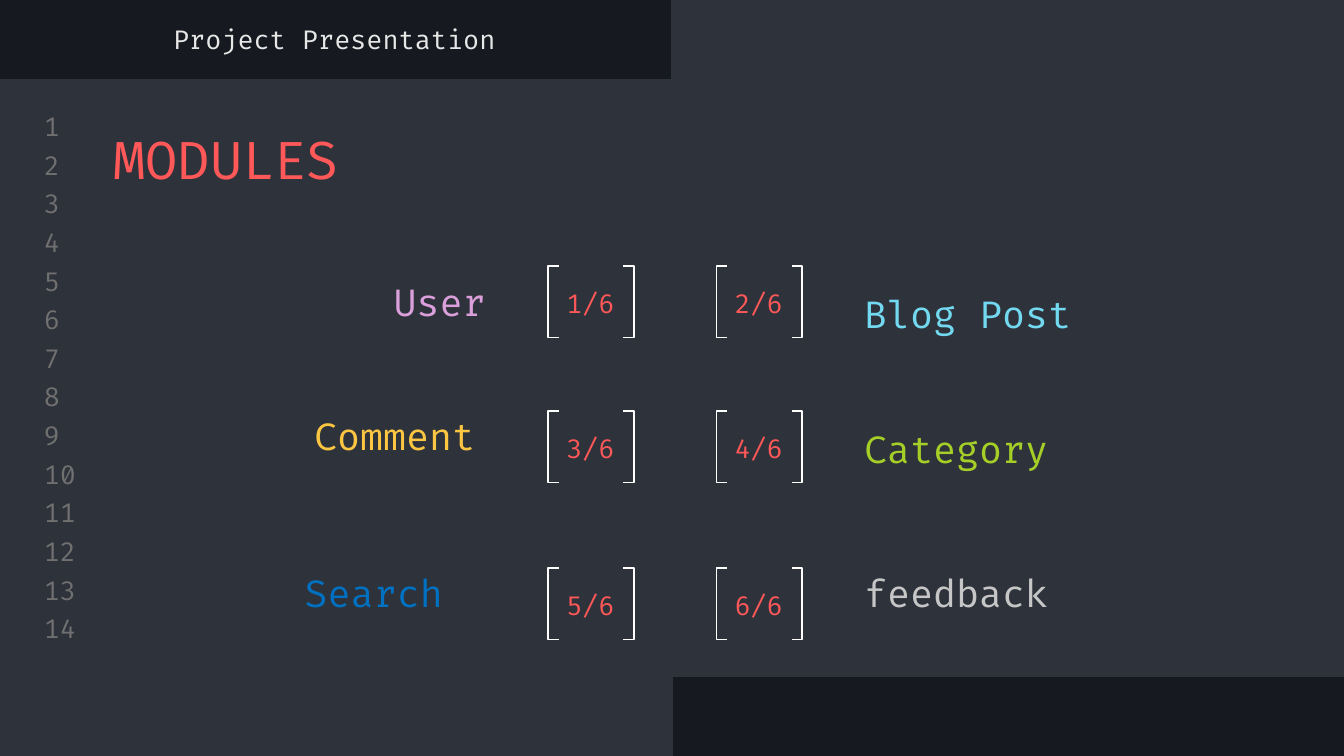
import pptx
import pptx.util
import pptx.dml.color
import pptx.enum.shapes
import pptx.enum.text
from dataclasses import dataclass

Cm = pptx.util.Cm
Kind = pptx.enum.shapes.MSO_SHAPE
Align = pptx.enum.text.PP_ALIGN
Anchor = pptx.enum.text.MSO_ANCHOR


@dataclass(frozen=True)
class Theme:
    font: str = "Fira Code"
    dark: str = "16191F"
    panel: str = "2E323B"
    gray: str = "707070"
    red: str = "FF5858"
    pale: str = "E7E7E7"
    white: str = "FFFFFF"
    small: int = 14
    label: int = 20
    title: int = 28


theme = Theme()

header = "Project Presentation"
title = "MODULES"
lines = 14
modules = [
    ("User", "DBA0DB", 3.38, 5.23, Align.RIGHT),
    ("Blog Post", "72D9F0", 16.08, 5.46, Align.LEFT),
    ("Comment", "FCC642", 3.18, 7.77, Align.RIGHT),
    ("Category", "A5CF27", 16.08, 8, Align.LEFT),
    ("Search", "0070C0", 5.51, 10.74, Align.LEFT),
    ("feedback", "C6C6C6", 16.08, 10.74, Align.LEFT),
]
panels = [
    (12.7, 0, 12.7, 1.65),
    (0, 12.64, 12.7, 1.65),
    (0, 1.5, 25.4, 11.28),
]
cols = [10.36, 13.54]
rows = [5.03, 7.77, 10.74]


def color(code):
    return pptx.dml.color.RGBColor.from_string(code)


def shape(kind, box, line, fill=None):
    item = slide.shapes.add_shape(kind, *map(Cm, box))
    item.shadow.inherit = False
    item.line.color.rgb = color(line)
    item.line.width = pptx.util.Pt(0.75)
    if fill:
        item.fill.solid()
        item.fill.fore_color.rgb = color(fill)
    else:
        item.fill.background()
    return item


def text(words, box, size, ink, align=Align.LEFT, anchor=Anchor.MIDDLE):
    frame = slide.shapes.add_textbox(*map(Cm, box)).text_frame
    frame.word_wrap = True
    frame.vertical_anchor = anchor
    frame.margin_left = frame.margin_right = Cm(0.25)
    frame.margin_top = frame.margin_bottom = Cm(0.25)
    para = frame.paragraphs[0]
    para.text = words
    para.alignment = align
    para.font.name = theme.font
    para.font.size = pptx.util.Pt(size)
    para.font.color.rgb = color(ink)


deck = pptx.Presentation()
deck.slide_width, deck.slide_height = Cm(25.4), Cm(14.29)
slide = deck.slides.add_slide(deck.slide_layouts[6])
slide.background.fill.solid()
slide.background.fill.fore_color.rgb = color(theme.dark)

for box in panels:
    shape(Kind.RECTANGLE, box, theme.panel, theme.panel)

for step in range(lines):
    box = (0.58, 2.08 + 0.73 * step, 1.19, 0.61)
    text(str(step + 1), box, theme.small, theme.gray)

text(header, (-0.03, 0.25, 12.7, 0.99), theme.small, theme.pale, Align.CENTER)
text(title, (1.9, 2.16, 21.44, 1.6), theme.title, theme.red, anchor=Anchor.TOP)

for index, (name, ink, left, top, align) in enumerate(modules):
    text(name, (left, top, 6.05, 0.94), theme.label, ink, align)
    row, col = divmod(index, len(cols))
    x, y = cols[col], rows[row]
    for kind, shift in ((Kind.LEFT_BRACKET, 0), (Kind.RIGHT_BRACKET, 1.42)):
        mark = shape(kind, (x + shift, y, 0.2, 1.35), theme.white)
        mark.adjustments[0] = 0
    count = f"{index + 1}/{len(modules)}"
    text(count, (x, y + 0.21, 1.6, 0.99), theme.small, theme.red, Align.CENTER)

deck.save("out.pptx")
